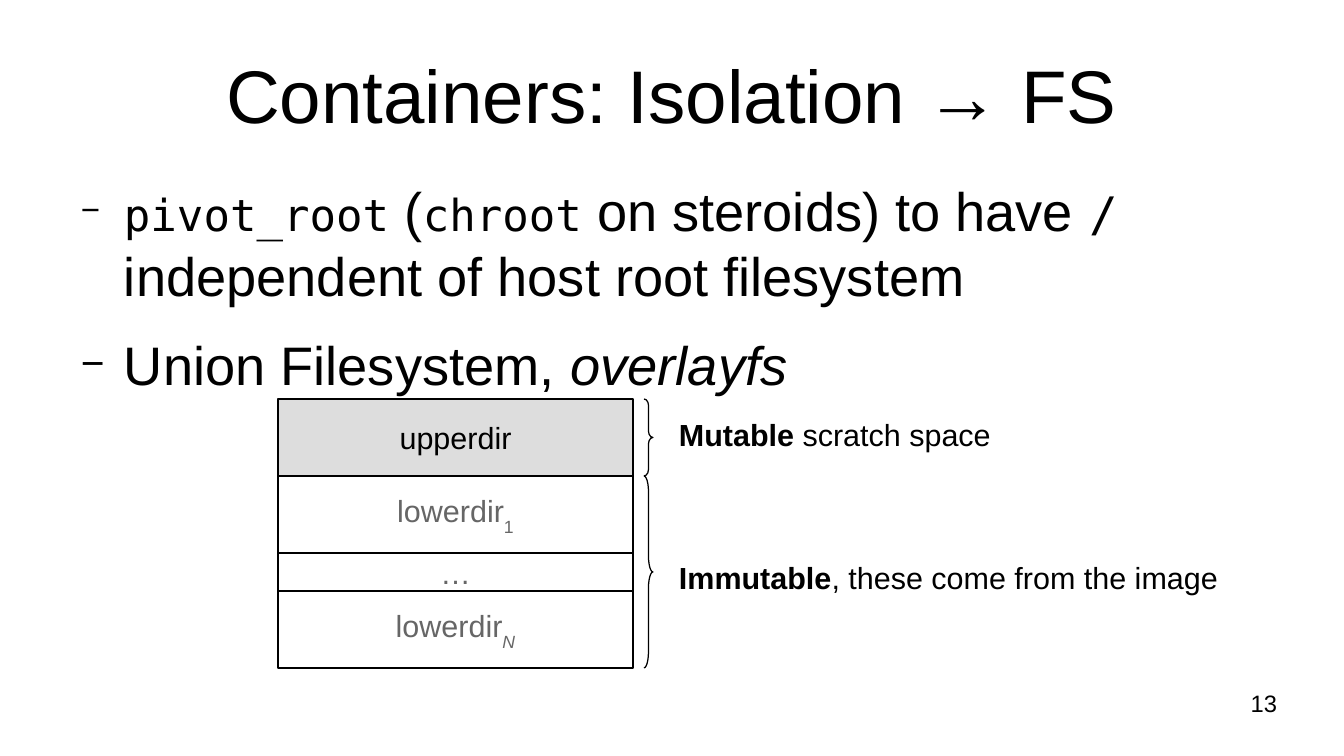
from lxml import etree
from pptx import Presentation
from pptx import util as u
from pptx.dml.color import RGBColor
from pptx.enum import shapes, text
from pptx.oxml.ns import qn

PX = 914400 / 122
COLORS = {"ink": "000000", "muted": "666666", "upper": "DDDDDD", "lower": "FFFFFF"}
SANS, MONO = "Arial", "DejaVu Sans Mono"


def px(*lengths):
    """Turn pixel lengths into EMU."""
    return [u.Emu(round(length * PX)) for length in lengths]


def add_runs(paragraph, runs, size, color="ink"):
    """Add (words, style) runs; style may hold size, font, bold, italic, sub."""
    for words, style in runs:
        run = paragraph.add_run()
        run.text = words
        run.font.size = u.Pt(style.get("size", size))
        run.font.name = style.get("font", SANS)
        run.font.bold = style.get("bold", False)
        run.font.italic = style.get("italic", False)
        run.font.color.rgb = RGBColor.from_string(COLORS[color])
        if style.get("sub"):
            run._r.get_or_add_rPr().set("baseline", "-33000")


deck = Presentation()
deck.slide_width, deck.slide_height = px(1344, 756)
slide = deck.slides.add_slide(deck.slide_layouts[6])

# Title, bullet area and page number share frames without margins
frames = []
for box in [(67, 30, 1210, 127), (67, 177, 1210, 439), (964, 689, 313, 52)]:
    frame = slide.shapes.add_textbox(*px(*box)).text_frame
    frame.word_wrap = True
    frame.margin_left = frame.margin_right = frame.margin_top = frame.margin_bottom = 0
    frames.append(frame)
title, body, page_number = frames

title.vertical_anchor = text.MSO_ANCHOR.MIDDLE
title.paragraphs[0].alignment = text.PP_ALIGN.CENTER
add_runs(title.paragraphs[0], [("Containers: Isolation → FS", {})], 44)
page_number.paragraphs[0].alignment = text.PP_ALIGN.RIGHT
add_runs(page_number.paragraphs[0], [("13", {})], 14)

# Bullets
code = {"font": MONO, "size": 26}
points = [
    [("pivot_root", code), (" (", {}), ("chroot", code), (" on steroids) to have ", {}),
     ("/", {"font": MONO, "size": 28}), (" independent of host root filesystem", {})],
    [("Union Filesystem, ", {}), ("overlayfs", {"italic": True})],
]
hang, outdent = px(57, -43)
for index, point in enumerate(points):
    paragraph = body.add_paragraph() if index else body.paragraphs[0]
    paragraph.space_before = u.Pt(14.2)
    add_runs(paragraph, point, 32)
    props = paragraph._p.get_or_add_pPr()
    props.set("marL", str(hang))
    props.set("indent", str(outdent))
    bullet_color = etree.SubElement(props, qn("a:buClr"))
    etree.SubElement(bullet_color, qn("a:srgbClr"), val=COLORS["ink"])
    etree.SubElement(props, qn("a:buSzPct"), val="75000")
    etree.SubElement(props, qn("a:buFont"), typeface=SANS)
    etree.SubElement(props, qn("a:buChar"), char="−")

# Stack of filesystem layers
STACK_TOP = 399
layers = [
    (77, "upper", "ink", [("upperdir", {})]),
    (77, "lower", "muted", [("lowerdir", {}), ("1", {"sub": True})]),
    (38, "lower", "muted", [("…", {})]),
    (77, "lower", "muted", [("lowerdir", {}), ("N", {"sub": True, "italic": True})]),
]
top = STACK_TOP
for height, fill, color, name in layers:
    layer = slide.shapes.add_shape(shapes.MSO_SHAPE.RECTANGLE, *px(278, top, 355, height))
    layer.shadow.inherit = False
    layer.fill.solid()
    layer.fill.fore_color.rgb = RGBColor.from_string(COLORS[fill])
    layer.line.color.rgb = RGBColor.from_string(COLORS["ink"])
    layer.line.width = 0
    layer.text_frame.word_wrap = False
    layer.text_frame.vertical_anchor = text.MSO_ANCHOR.MIDDLE
    layer.text_frame.paragraphs[0].alignment = text.PP_ALIGN.CENTER
    add_runs(layer.text_frame.paragraphs[0], name, 18, color)
    top += height

# Braces with their explanations
upper_height = layers[0][0]
lower_top = STACK_TOP + upper_height
BRACE_WIDTH = 9
notes = [
    (STACK_TOP, upper_height, 410, 342, "Mutable ", "scratch space"),
    (lower_top, top - lower_top, 553, 581, "Immutable", ", these come from the image"),
]
for brace_top, height, note_top, width, term, rest in notes:
    brace = slide.shapes.add_shape(
        shapes.MSO_SHAPE.RIGHT_BRACE, *px(644, brace_top, BRACE_WIDTH, height))
    brace.adjustments[0] = height / 12 / BRACE_WIDTH
    brace.shadow.inherit = False
    brace.fill.background()
    brace.line.color.rgb = RGBColor.from_string(COLORS["ink"])
    brace.line.width = 0
    note = slide.shapes.add_textbox(*px(667, note_top, width, 46)).text_frame
    note.word_wrap = True
    add_runs(note.paragraphs[0], [(term, {"bold": True}), (rest, {})], 18)

deck.save("out.pptx")
